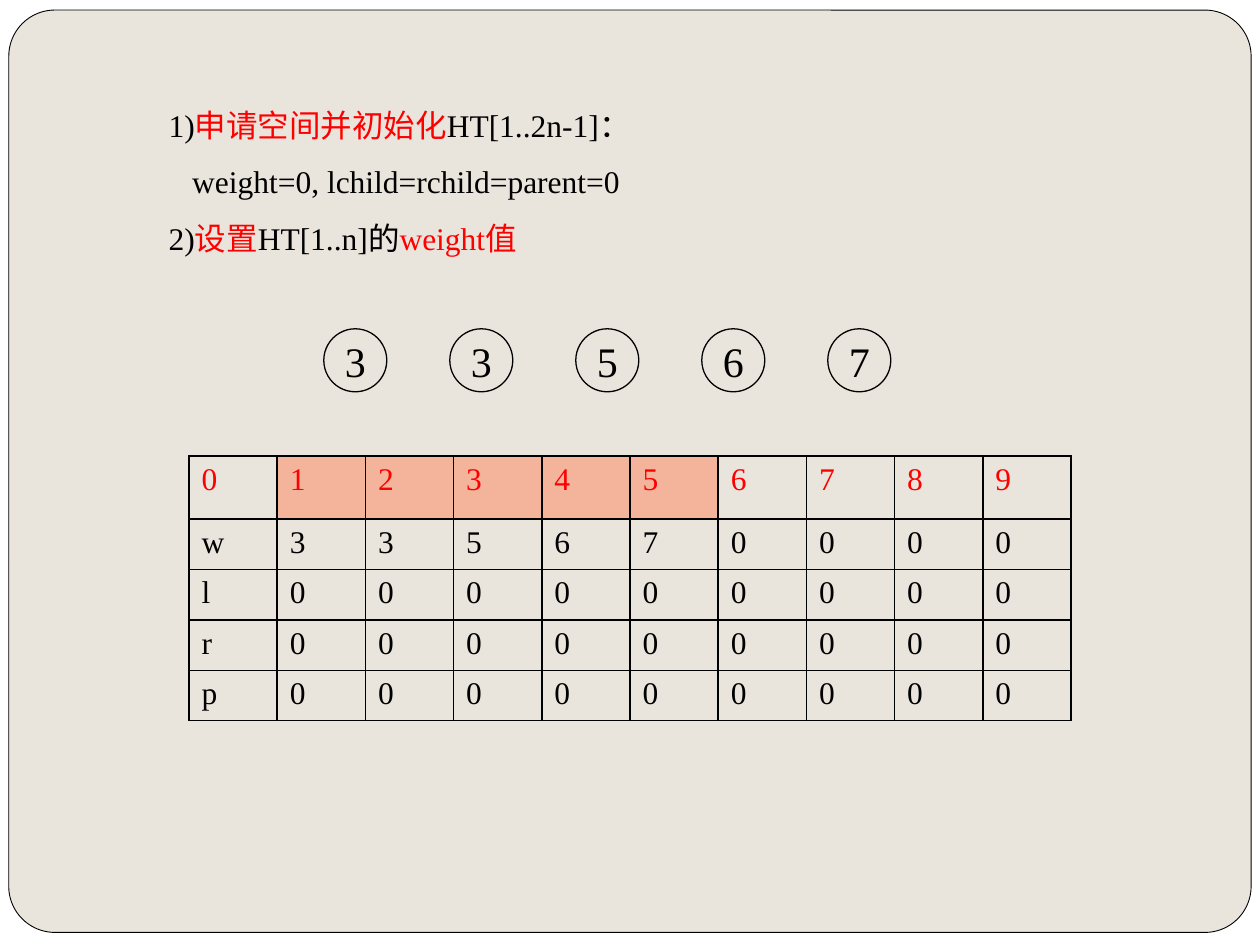
from lxml import etree
from pptx import Presentation
from pptx import util as u
from pptx.dml.color import RGBColor
from pptx.enum import shapes, text
from pptx.oxml import ns

BLACK = RGBColor(0, 0, 0)
RED = RGBColor(0xFF, 0, 0)
WHITE = RGBColor(0xFF, 0xFF, 0xFF)
SAND = RGBColor(0xE9, 0xE5, 0xDC)
SALMON = RGBColor(0xF4, 0xB3, 0x9B)
FONT = "Times New Roman"

# Content: each step is (left indent, runs); each run is (wording, colour)
STEPS = [
    (0, [("1)", BLACK), ("申请空间并初始化", RED), ("HT[1..2n-1]：", BLACK)]),
    (13.5, [("weight=0, lchild=rchild=parent=0", BLACK)]),
    (0, [("2)", BLACK), ("设置", RED), ("HT[1..n]的", BLACK), ("weight值", RED)]),
]
WEIGHTS = [3, 3, 5, 6, 7]
NODES = 2 * len(WEIGHTS) - 1
ROWS = [
    list(range(NODES + 1)),
    ["w"] + WEIGHTS + [0] * (NODES - len(WEIGHTS)),
    *([field] + [0] * NODES for field in "lrp"),
]

# Layout in points
SLIDE_W, SLIDE_H = 720, 540
CIRCLE_LEFT, CIRCLE_TOP, CIRCLE_SIZE, CIRCLE_STEP = 185.04, 187.92, 36, 72
TABLE_LEFT, TABLE_TOP, COL_W = 108, 260.64, 50.4
ROW_HEIGHTS = [36] + [28.8] * 4


def set_font(font, size, color=None):
    font.name, font.size, font.bold = FONT, u.Pt(size), False
    if color is not None:
        font.color.rgb = color


def add_outline(slide, kind, box, fill=None, line_width=None):
    shape = slide.shapes.add_shape(kind, *map(u.Pt, box))
    shape.shadow.inherit = False
    if fill is None:
        shape.fill.background()
    else:
        shape.fill.solid()
        shape.fill.fore_color.rgb = fill
    if line_width is None:
        shape.line.fill.background()
    else:
        shape.line.color.rgb = BLACK
        shape.line.width = u.Pt(line_width)
    return shape


def add_borders(cell):
    props = cell._tc.get_or_add_tcPr()
    for index, side in enumerate(("lnL", "lnR", "lnT", "lnB")):
        line = etree.Element(ns.qn(f"a:{side}"), w=str(u.Pt(1)))
        fill = etree.SubElement(line, ns.qn("a:solidFill"))
        etree.SubElement(fill, ns.qn("a:srgbClr"), val=str(BLACK))
        props.insert(index, line)


prs = Presentation()
prs.slide_width, prs.slide_height = u.Pt(SLIDE_W), u.Pt(SLIDE_H)
slide = prs.slides.add_slide(prs.slide_layouts[6])

# Background and rounded panel
slide.background.fill.solid()
slide.background.fill.fore_color.rgb = SAND
add_outline(slide, shapes.MSO_SHAPE.RECTANGLE, (0, 0, SLIDE_W, SLIDE_H), WHITE)
panel = add_outline(slide, shapes.MSO_SHAPE.ROUNDED_RECTANGLE,
                    (5.04, 5.76, 709.92, 527.04), SAND, 0.5)
panel.adjustments[0] = 0.05

# Huffman table
table = slide.shapes.add_table(
    len(ROWS), len(ROWS[0]), u.Pt(TABLE_LEFT), u.Pt(TABLE_TOP),
    u.Pt(COL_W * len(ROWS[0])), u.Pt(sum(ROW_HEIGHTS))).table
table.first_row = table.horz_banding = False
for column in table.columns:
    column.width = u.Pt(COL_W)
for r, (values, height) in enumerate(zip(ROWS, ROW_HEIGHTS)):
    table.rows[r].height = u.Pt(height)
    for c, value in enumerate(values):
        cell = table.cell(r, c)
        cell.text = str(value)
        set_font(cell.text_frame.paragraphs[0].font, 18, BLACK if r else RED)
        if r == 0 and 1 <= c <= len(WEIGHTS):
            cell.fill.solid()
            cell.fill.fore_color.rgb = SALMON
        else:
            cell.fill.background()
        add_borders(cell)

# Leaf nodes
for i, weight in enumerate(WEIGHTS):
    leaf = add_outline(
        slide, shapes.MSO_SHAPE.OVAL,
        (CIRCLE_LEFT + i * CIRCLE_STEP, CIRCLE_TOP, CIRCLE_SIZE, CIRCLE_SIZE),
        line_width=0.75)
    frame = leaf.text_frame
    frame.word_wrap = False
    frame.vertical_anchor = text.MSO_ANCHOR.MIDDLE
    frame.text = str(weight)
    frame.paragraphs[0].alignment = text.PP_ALIGN.CENTER
    set_font(frame.paragraphs[0].font, 24, BLACK)

# Steps
steps = slide.shapes.add_textbox(*map(u.Pt, (89.28, 46.08, 522.72, 105.12))).text_frame
steps.word_wrap = True
steps.auto_size = text.MSO_AUTO_SIZE.SHAPE_TO_FIT_TEXT
for i, (indent, runs) in enumerate(STEPS):
    step = steps.add_paragraph() if i else steps.paragraphs[0]
    step.line_spacing = 1.5
    step._p.get_or_add_pPr().set("marL", str(u.Pt(indent)))
    set_font(step.font, 18)
    for wording, color in runs:
        run = step.add_run()
        run.text = wording
        run.font.color.rgb = color

prs.save("out.pptx")
